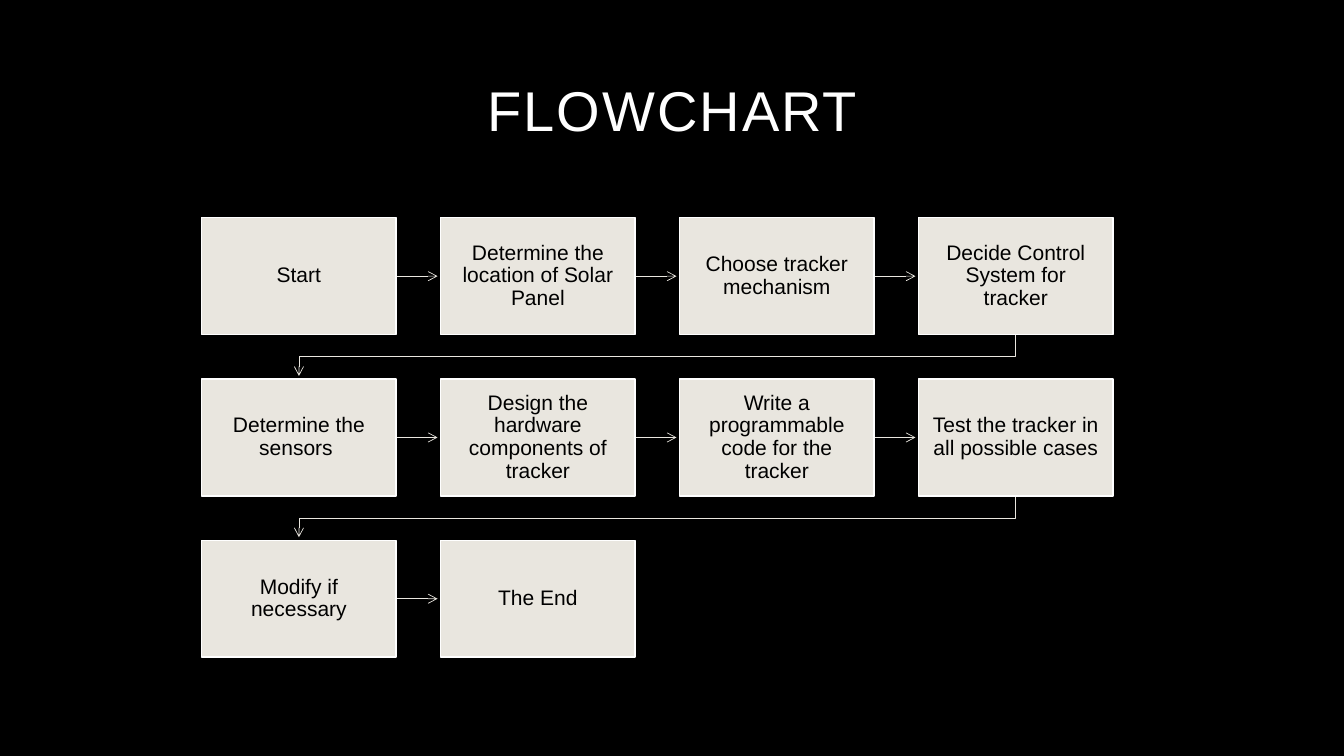
"""Build a one-slide flowchart of the steps for making a solar tracker."""
from lxml.etree import SubElement
from pptx import Presentation
from pptx.dml.color import RGBColor
from pptx.enum.shapes import MSO_CONNECTOR as Connector, MSO_SHAPE as Shape
from pptx.enum.text import MSO_ANCHOR as Anchor, PP_ALIGN as Align
from pptx.oxml.ns import qn
from pptx.util import Inches, Pt

FONT = "Arial"
BLACK, WHITE, STONE = "000000", "FFFFFF", "E9E6DF"
STEPS = [
    "Start",
    "Determine the location of Solar Panel",
    "Choose tracker mechanism",
    "Decide Control System for tracker",
    "Determine the sensors ",
    "Design the hardware components of tracker",
    "Write a programmable code for the tracker",
    "Test the tracker in all possible cases",
    "Modify if necessary",
    "The End",
]
COLUMNS = 4
LEFT, TOP = 2, 2.16
BOX_WIDTH, BOX_HEIGHT = 1.93, 1.16
COLUMN_STEP, ROW_STEP = 2.37, 1.6
TIP_GAP = 0.03
TURN_DROP = 0.22


def color(hex_code):
    """Turn a hex string into a colour."""
    return RGBColor.from_string(hex_code)


def write_text(frame, text, size, hex_code):
    """Put centred text into a frame and return its run."""
    frame.word_wrap = True
    frame.vertical_anchor = Anchor.MIDDLE
    frame.text = text
    para = frame.paragraphs[0]
    para.alignment = Align.CENTER
    para.line_spacing = 0.9
    span = para.runs[0]
    span.font.name = FONT
    span.font.size = Pt(size)
    span.font.color.rgb = color(hex_code)
    return span


def add_title(page, text):
    """Add the letter-spaced heading."""
    box = page.shapes.add_textbox(Inches(0.92), Inches(0.4), Inches(11.5), Inches(1.45))
    span = write_text(box.text_frame, text, 40, WHITE)
    span.font._element.set("spc", "150")


def add_step(page, text, left, top):
    """Add one step box."""
    box = page.shapes.add_shape(
        Shape.RECTANGLE, Inches(left), Inches(top), Inches(BOX_WIDTH), Inches(BOX_HEIGHT))
    box.shadow.inherit = False
    box.fill.solid()
    box.fill.fore_color.rgb = color(STONE)
    box.line.color.rgb = color(WHITE)
    box.line.width = Pt(1)
    frame = box.text_frame
    frame.margin_left = frame.margin_right = Inches(0.12)
    frame.margin_top = frame.margin_bottom = Inches(0.12)
    write_text(frame, text, 15, BLACK)


def style_arrow(arrow):
    """Give a line its colour, width and open arrowhead, without shadow."""
    arrow.line.color.rgb = color(STONE)
    arrow.line.width = Pt(0.5)
    properties = arrow._element.spPr
    SubElement(properties.find(qn("a:ln")), qn("a:tailEnd"), type="arrow")
    SubElement(properties, qn("a:effectLst"))


def add_next_arrow(page, left, top):
    """Add the arrow from a box to the one on its right."""
    start = left + BOX_WIDTH
    tip = left + COLUMN_STEP - TIP_GAP
    middle = Inches(top + BOX_HEIGHT / 2)
    style_arrow(page.shapes.add_connector(
        Connector.STRAIGHT, Inches(start), middle, Inches(tip), middle))


def add_return_arrow(page, left, top):
    """Add the bent arrow from the last box of a row to the next row."""
    start_x = Inches(left + BOX_WIDTH / 2)
    end_x = Inches(LEFT + BOX_WIDTH / 2)
    bottom = top + BOX_HEIGHT
    turn = Inches(bottom + TURN_DROP)
    tip = Inches(top + ROW_STEP - TIP_GAP)
    builder = page.shapes.build_freeform(start_x, Inches(bottom))
    builder.add_line_segments([(start_x, turn), (end_x, turn), (end_x, tip)], close=False)
    arrow = builder.convert_to_shape()
    arrow.fill.background()
    style_arrow(arrow)


def main():
    """Build and save the slide."""
    deck = Presentation()
    deck.slide_width, deck.slide_height = Inches(13.33), Inches(7.5)
    page = deck.slides.add_slide(deck.slide_layouts[6])
    page.background.fill.solid()
    page.background.fill.fore_color.rgb = color(BLACK)
    add_title(page, "FLOWCHART")
    for index, step in enumerate(STEPS):
        row, column = divmod(index, COLUMNS)
        left, top = LEFT + column * COLUMN_STEP, TOP + row * ROW_STEP
        if index < len(STEPS) - 1:
            add_arrow = add_return_arrow if column == COLUMNS - 1 else add_next_arrow
            add_arrow(page, left, top)
        add_step(page, step, left, top)
    deck.save("out.pptx")


if __name__ == "__main__":
    main()
